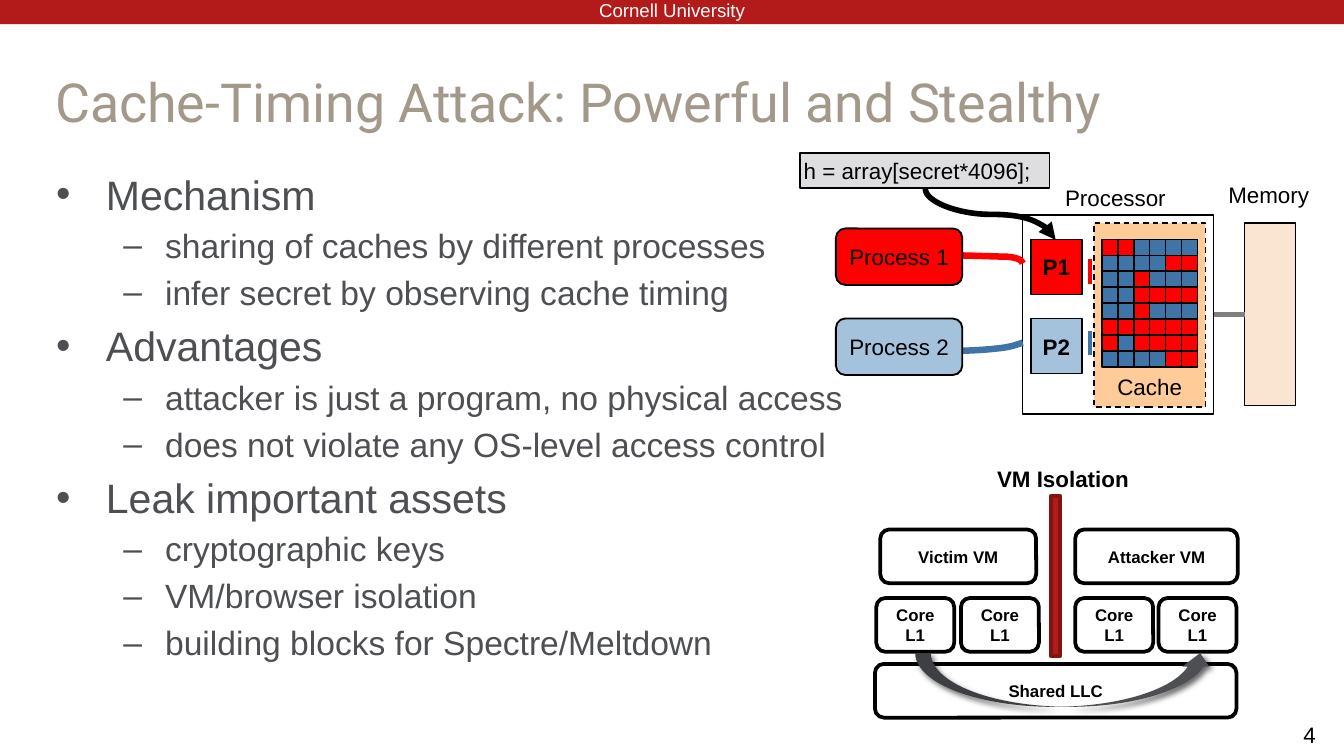
from lxml.etree import SubElement
from pptx import Presentation
from pptx.dml.color import RGBColor
from pptx.enum.dml import MSO_LINE
from pptx.enum.shapes import MSO_CONNECTOR, MSO_SHAPE
from pptx.enum.text import MSO_ANCHOR, PP_ALIGN
from pptx.oxml.ns import qn
from pptx.util import Inches, Pt

COLORS = {
    "white": "FFFFFF", "black": "000000", "brand": "B31B1B", "brand_dark": "841414",
    "title": "A2998B", "body": "4D4F53", "red": "FF0000", "blue": "3E75A6",
    "light_blue": "A5C2DD", "orange": "FFCC99", "memory": "FAE5D3",
    "code": "DEDEE0", "gray": "7F7F7F",
}
TITLE = "Cache-Timing Attack: Powerful and Stealthy"
OUTLINE = [
    ("Mechanism", ["sharing of caches by different processes",
                   "infer secret by observing cache timing"]),
    ("Advantages", ["attacker is just a program, no physical access",
                    "does not violate any OS-level access control"]),
    ("Leak important assets", ["cryptographic keys", "VM/browser isolation",
                               "building blocks for Spectre/Meltdown"]),
]
# size, bullet, margin, indent, space before
LEVELS = [(22, "•", 0.37, -0.37, 4.4), (18, "–", 0.81, -0.31, 3.6)]
WIDE, NARROW = (0.1, 0.05), (0.07, 0.04)
LABELS = [
    ("Cornell University", (3.96, -0.06, 2.08, 0.27), 10, "white", False, PP_ALIGN.CENTER, WIDE),
    ("4", (9.6, 5.32, 0.4, 0.3), 12, "black", False, PP_ALIGN.LEFT, WIDE),
    ("VM Isolation", (7.32, 3.41, 1.35, 0.3), 12, "black", True, PP_ALIGN.LEFT, WIDE),
    ("Processor", (7.65, 1.33, 1.3, 0.28), 12, "black", False, PP_ALIGN.CENTER, NARROW),
    ("Memory", (8.79, 1.31, 1.3, 0.28), 12, "black", False, PP_ALIGN.CENTER, NARROW),
    ("Cache", (8.17, 2.74, 0.77, 0.28), 12, "black", False, PP_ALIGN.CENTER, NARROW),
]
MACHINES = [
    ("Victim VM", (6.55, 3.94, 1.16, 0.4)),
    ("Attacker VM", (8, 3.94, 1.21, 0.4)),
    *[("Core L1", (left, 4.45, 0.58, 0.4)) for left in (6.52, 7.15, 8, 8.62)],
    ("Shared LLC", (6.51, 4.94, 2.69, 0.4)),
]
CORES = [("P1", 1.78, "red"), ("P2", 2.37, "light_blue")]
PROCESSES = [("Process 1", 1.7, "red"), ("Process 2", 2.37, "light_blue")]
CACHE_LINES = ["RRBBBB", "BBBBRR", "BBRBBB", "BBRRRR",
               "BBRBBB", "RRRRRR", "RBRRRR", "BBBBRR"]
CELL_COLORS = {"R": "red", "B": "blue"}
CELL_SIZE = 0.12
CACHE_ORIGIN, CACHE_EXTENT = (8.2, 1.78), (0.71, 0.95)
PORTS = [("red", 2.11, 1.93), ("blue", 2.64, 2.46)]
LINKS = [
    ("blue", [(7.14, 2.61), (7.25, 2.61), (7.37, 2.6), (7.45, 2.59),
              (7.53, 2.58), (7.58, 2.56), (7.61, 2.55)]),
    ("red", [(7.02, 1.9), (7.21, 1.9), (7.39, 1.91), (7.49, 1.91),
             (7.59, 1.92), (7.6, 1.94), (7.61, 1.96)]),
]


def rgb(name):
    return RGBColor.from_string(COLORS[name])


def format_font(font, size, color="black", bold=False, name="Arial"):
    font.size, font.bold, font.name = Pt(size), bold, name
    font.color.rgb = rgb(color)


def set_margins(frame, horizontal, vertical):
    frame.margin_left = frame.margin_right = Inches(horizontal)
    frame.margin_top = frame.margin_bottom = Inches(vertical)


def add_box(slide, box, fill=None, line="black", width=0.75, kind=MSO_SHAPE.RECTANGLE,
            text="", size=12, bold=False, margins=NARROW, align=PP_ALIGN.CENTER):
    shape = slide.shapes.add_shape(kind, *map(Inches, box))
    shape.shadow.inherit = False
    if fill:
        shape.fill.solid()
        shape.fill.fore_color.rgb = rgb(fill)
    else:
        shape.fill.background()
    if line:
        shape.line.color.rgb = rgb(line)
        shape.line.width = Pt(width)
    else:
        shape.line.fill.background()
    if text:
        frame = shape.text_frame
        frame.text = text
        frame.word_wrap = True
        frame.vertical_anchor = MSO_ANCHOR.MIDDLE
        set_margins(frame, *margins)
        frame.paragraphs[0].alignment = align
        format_font(frame.paragraphs[0].runs[0].font, size, bold=bold)
    return shape


def add_label(slide, text, box, size, color, bold, align, margins):
    frame = slide.shapes.add_textbox(*map(Inches, box)).text_frame
    frame.word_wrap = True
    frame.text = text
    set_margins(frame, *margins)
    frame.paragraphs[0].alignment = align
    format_font(frame.paragraphs[0].runs[0].font, size, color, bold)


def add_line(slide, start, end, color, width, kind=MSO_CONNECTOR.STRAIGHT):
    connector = slide.shapes.add_connector(kind, *map(Inches, (*start, *end)))
    connector.line.color.rgb = rgb(color)
    connector.line.width = Pt(width)
    SubElement(connector._element.spPr, qn("a:effectLst"))
    return connector


def bezier_points(points, steps=12):
    result = [points[0]]
    for first in range(0, len(points) - 1, 3):
        a, b, c, d = points[first:first + 4]
        for step in range(1, steps + 1):
            t = step / steps
            weights = ((1 - t) ** 3, 3 * t * (1 - t) ** 2, 3 * t * t * (1 - t), t ** 3)
            result.append(tuple(sum(w * p[axis] for w, p in zip(weights, (a, b, c, d)))
                                for axis in (0, 1)))
    return result


def add_curve(slide, points, color):
    start, *others = [(Inches(x), Inches(y)) for x, y in bezier_points(points)]
    builder = slide.shapes.build_freeform(*start)
    builder.add_line_segments(others, close=False)
    shape = builder.convert_to_shape()
    shape.shadow.inherit = False
    shape.fill.background()
    shape.line.color.rgb = rgb(color)
    shape.line.width = Pt(3.5)


def add_outline(slide):
    frame = slide.shapes.add_textbox(*map(Inches, (0.32, 1.21, 6.48, 4.2))).text_frame
    frame.word_wrap = True
    lines = [item for heading, details in OUTLINE
             for item in [(0, heading), *[(1, detail) for detail in details]]]
    for index, (level, text) in enumerate(lines):
        size, bullet, margin, indent, space = LEVELS[level]
        paragraph = frame.add_paragraph() if index else frame.paragraphs[0]
        paragraph.text = text
        paragraph.level = level
        paragraph.space_before = Pt(space if index else 0)
        properties = paragraph._p.get_or_add_pPr()
        properties.set("marL", str(Inches(margin)))
        properties.set("indent", str(Inches(indent)))
        SubElement(properties, qn("a:buFont"), typeface="Arial")
        SubElement(properties, qn("a:buChar"), char=bullet)
        format_font(paragraph.runs[0].font, size, "body")


def add_isolation(slide):
    for text, box in MACHINES:
        add_box(slide, box, "white", width=2, kind=MSO_SHAPE.ROUNDED_RECTANGLE,
                text=text, size=9, bold=True, margins=WIDE)
    arrow = add_box(slide, (6.81, 4.86, 2.22, 0.4), "body", None,
                    kind=MSO_SHAPE.CURVED_UP_ARROW)
    for index, value in enumerate((0.29, 0.5, 0.25)):
        arrow.adjustments[index] = value
    effects = arrow._element.spPr.find(qn("a:effectLst"))
    shadow = SubElement(effects, qn("a:outerShdw"), blurRad=str(Pt(3)), dist=str(Pt(2)),
                        dir="2700000", algn="tl", rotWithShape="0")
    shade = SubElement(shadow, qn("a:srgbClr"), val=COLORS["black"])
    SubElement(shade, qn("a:alpha"), val="60000")
    add_box(slide, (7.82, 3.69, 0.07, 1.19), "brand", "brand_dark", 2)


def add_processor(slide):
    processor = add_box(slide, (7.61, 1.6, 1.42, 1.48))
    for text, top, fill in CORES:
        add_box(slide, (7.67, top, 0.38, 0.41), fill, text=text, bold=True)
    for color, start, end in PORTS:
        add_line(slide, (8.11, start), (8.11, end), color, 2.5)
    cache = add_box(slide, (8.14, 1.66, 0.83, 1.37), "orange")
    cache.line.dash_style = MSO_LINE.DASH
    column_step = CACHE_EXTENT[0] / len(CACHE_LINES[0])
    row_step = CACHE_EXTENT[1] / len(CACHE_LINES)
    for row, cells in enumerate(CACHE_LINES):
        for column, cell in enumerate(cells):
            left = CACHE_ORIGIN[0] + column * column_step
            top = CACHE_ORIGIN[1] + row * row_step
            add_box(slide, (left, top, CELL_SIZE, CELL_SIZE), CELL_COLORS[cell])
    for color, points in LINKS:
        add_curve(slide, points, color)
    memory = add_box(slide, (9.26, 1.66, 0.38, 1.36), "memory")
    bus = add_line(slide, (9.03, 2.34), (9.26, 2.34), "gray", 2.25)
    bus.begin_connect(processor, 3)
    bus.end_connect(memory, 1)
    for text, top, fill in PROCESSES:
        add_box(slide, (6.22, top, 0.94, 0.42), fill, width=1,
                kind=MSO_SHAPE.ROUNDED_RECTANGLE, text=text)
    access = add_line(slide, (7.18, 1.11), (7.56, 2.08), "black", 3, MSO_CONNECTOR.CURVE)
    transform = access._element.spPr.find(qn("a:xfrm"))
    transform.set("rot", "16200000")
    transform.set("flipH", "1")
    SubElement(access.line._get_or_add_ln(), qn("a:tailEnd"), type="triangle")
    add_box(slide, (5.95, 1.14, 1.86, 0.26), "code", width=1, margins=(0.03, 0.03),
            text="h = array[secret*4096];", align=PP_ALIGN.LEFT)


def main():
    """Build the cache-timing attack slide."""
    presentation = Presentation()
    presentation.slide_width = Inches(10)
    presentation.slide_height = Inches(10 * 9 / 16)
    slide = presentation.slides.add_slide(presentation.slide_layouts[5])
    title = slide.shapes.title
    title.left, title.top, title.width, title.height = map(Inches, (0.31, 0.51, 8.45, 0.49))
    title.text_frame.text = TITLE
    title.text_frame.vertical_anchor = MSO_ANCHOR.MIDDLE
    title.text_frame.paragraphs[0].alignment = PP_ALIGN.LEFT
    format_font(title.text_frame.paragraphs[0].runs[0].font, 28.8, "title", name="Roboto")
    add_box(slide, (0, 0, 10, 0.18), "brand", None)
    add_outline(slide)
    add_isolation(slide)
    add_processor(slide)
    for label in LABELS:
        add_label(slide, *label)
    presentation.save("out.pptx")


if __name__ == "__main__":
    main()
